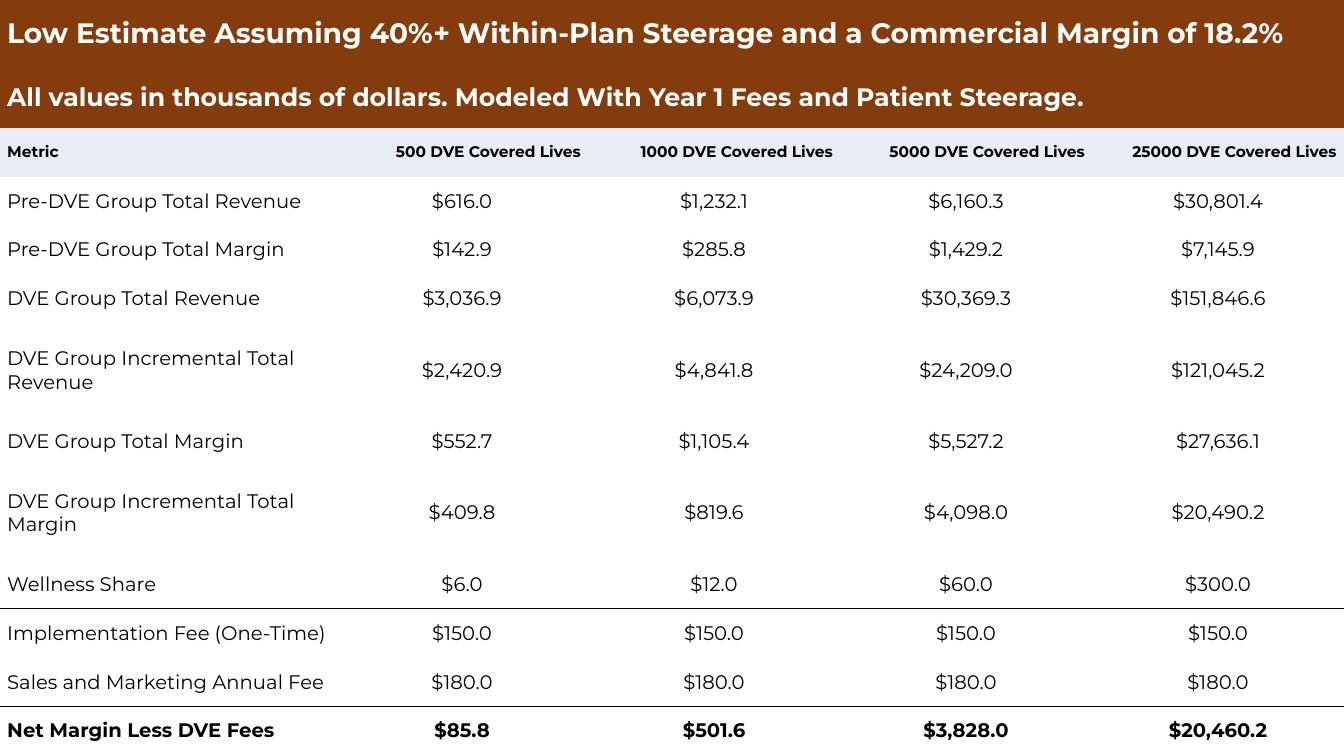
"""Build the low-estimate steerage table slide."""
from lxml.etree import SubElement
from pptx import Presentation
from pptx.dml.color import RGBColor
from pptx.enum.text import MSO_ANCHOR, PP_ALIGN
from pptx.oxml import parse_xml
from pptx.oxml.ns import qn
from pptx.util import Cm, Pt

BANNERS = [
    "Low Estimate Assuming 40%+ Within-Plan Steerage and a Commercial Margin of 18.2%",
    "All values in thousands of dollars. Modeled With Year 1 Fees and Patient Steerage.",
]
HEADINGS = ("Metric", "500 DVE Covered Lives", "1000 DVE Covered Lives",
            "5000 DVE Covered Lives", "25000 DVE Covered Lives")
METRICS = [
    ("Pre-DVE Group Total Revenue", "$616.0", "$1,232.1", "$6,160.3", "$30,801.4"),
    ("Pre-DVE Group Total Margin", "$142.9", "$285.8", "$1,429.2", "$7,145.9"),
    ("DVE Group Total Revenue", "$3,036.9", "$6,073.9", "$30,369.3", "$151,846.6"),
    ("DVE Group Incremental Total Revenue", "$2,420.9", "$4,841.8", "$24,209.0", "$121,045.2"),
    ("DVE Group Total Margin", "$552.7", "$1,105.4", "$5,527.2", "$27,636.1"),
    ("DVE Group Incremental Total Margin", "$409.8", "$819.6", "$4,098.0", "$20,490.2"),
    ("Wellness Share", "$6.0", "$12.0", "$60.0", "$300.0"),
    ("Implementation Fee (One-Time)", "$150.0", "$150.0", "$150.0", "$150.0"),
    ("Sales and Marketing Annual Fee", "$180.0", "$180.0", "$180.0", "$180.0"),
    ("Net Margin Less DVE Fees", "$85.8", "$501.6", "$3,828.0", "$20,460.2"),
]
RULED_BELOW = ("Wellness Share", "Sales and Marketing Annual Fee")
NET_METRIC = METRICS[-1][0]

WIDTH, HEIGHT = Cm(33.87), Cm(19.05)
METRIC_WIDTH, LIVES_WIDTH = Cm(8.47), Cm(6.35)
BANNER_HEIGHTS = (Cm(1.69), Cm(1.53))
ROW_HEIGHT, TWO_LINE_HEIGHT = Cm(1.23), Cm(2.37)
CELL_FORMAT = {"margin_left": Cm(0.18), "margin_right": Cm(0.18), "margin_top": 0,
               "margin_bottom": 0, "vertical_anchor": MSO_ANCHOR.MIDDLE}
NO_STYLE = "{2D5ABB26-0587-4C30-8999-92F81FD0307C}"
BROWN, PALE_BLUE, WHITE, BLACK = "843C0C", "E7ECF5", "FFFFFF", "000000"


def rgb(color):
    """Turn a hex string into a colour."""
    return RGBColor.from_string(color)


def set_cell(cell, text, size, bold, color=BLACK, fill=None, align=PP_ALIGN.LEFT):
    """Write and format one cell."""
    for name, value in CELL_FORMAT.items():
        setattr(cell, name, value)
    if fill:
        cell.fill.solid()
        cell.fill.fore_color.rgb = rgb(fill)
    else:
        cell.fill.background()
    paragraph = cell.text_frame.paragraphs[0]
    paragraph.alignment = align
    run = paragraph.add_run()
    run.text = text
    for name, value in {"name": "Montserrat", "size": Pt(size), "bold": bold}.items():
        setattr(run.font, name, value)
    run.font.color.rgb = rgb(color)


def set_edges(cell, ruled_above, ruled_below):
    """Rule the top and bottom edges of a cell, or leave them clear."""
    properties = cell._tc.get_or_add_tcPr()
    for position, (edge, ruled) in enumerate((("lnT", ruled_above), ("lnB", ruled_below))):
        line = parse_xml(
            '<a:%s xmlns:a="http://schemas.openxmlformats.org/drawingml/2006/main" w="12700"/>' % edge)
        if ruled:
            SubElement(SubElement(line, qn("a:solidFill")), qn("a:srgbClr"), val=BLACK)
        else:
            SubElement(line, qn("a:noFill"))
        properties.insert(position, line)


def fill_table(table):
    """Write the banners, the headings and the metrics."""
    for row, (banner, size) in enumerate(zip(BANNERS, (20, 18))):
        table.rows[row].height = BANNER_HEIGHTS[row]
        table.cell(row, 0).merge(table.cell(row, len(HEADINGS) - 1))
        set_cell(table.cell(row, 0), banner, size, True, WHITE, BROWN)

    heading_row = len(BANNERS)
    table.rows[heading_row].height = ROW_HEIGHT
    for column, heading in enumerate(HEADINGS):
        align = PP_ALIGN.RIGHT if column else PP_ALIGN.LEFT
        set_cell(table.cell(heading_row, column), heading, 11, True, BLACK, PALE_BLUE, align)

    ruled_above = False
    for row, metric in enumerate(METRICS, heading_row + 1):
        label = metric[0]
        ruled_below = label in RULED_BELOW
        table.rows[row].height = TWO_LINE_HEIGHT if "Incremental" in label else ROW_HEIGHT
        for column, value in enumerate(metric):
            align = PP_ALIGN.CENTER if column else PP_ALIGN.LEFT
            set_cell(table.cell(row, column), value, 14, label == NET_METRIC, align=align)
            set_edges(table.cell(row, column), ruled_above, ruled_below)
        ruled_above = ruled_below


def main():
    """Create the slide and save it."""
    deck = Presentation()
    deck.slide_width, deck.slide_height = WIDTH, HEIGHT
    slide = deck.slides.add_slide(deck.slide_layouts[6])
    row_count = len(BANNERS) + 1 + len(METRICS)
    table = slide.shapes.add_table(row_count, len(HEADINGS), 0, 0, WIDTH, HEIGHT).table
    table.first_row = table.horz_banding = False
    table._tbl.tblPr.find(qn("a:tableStyleId")).text = NO_STYLE
    for index, column in enumerate(table.columns):
        column.width = LIVES_WIDTH if index else METRIC_WIDTH
    fill_table(table)
    deck.save("out.pptx")


if __name__ == "__main__":
    main()
